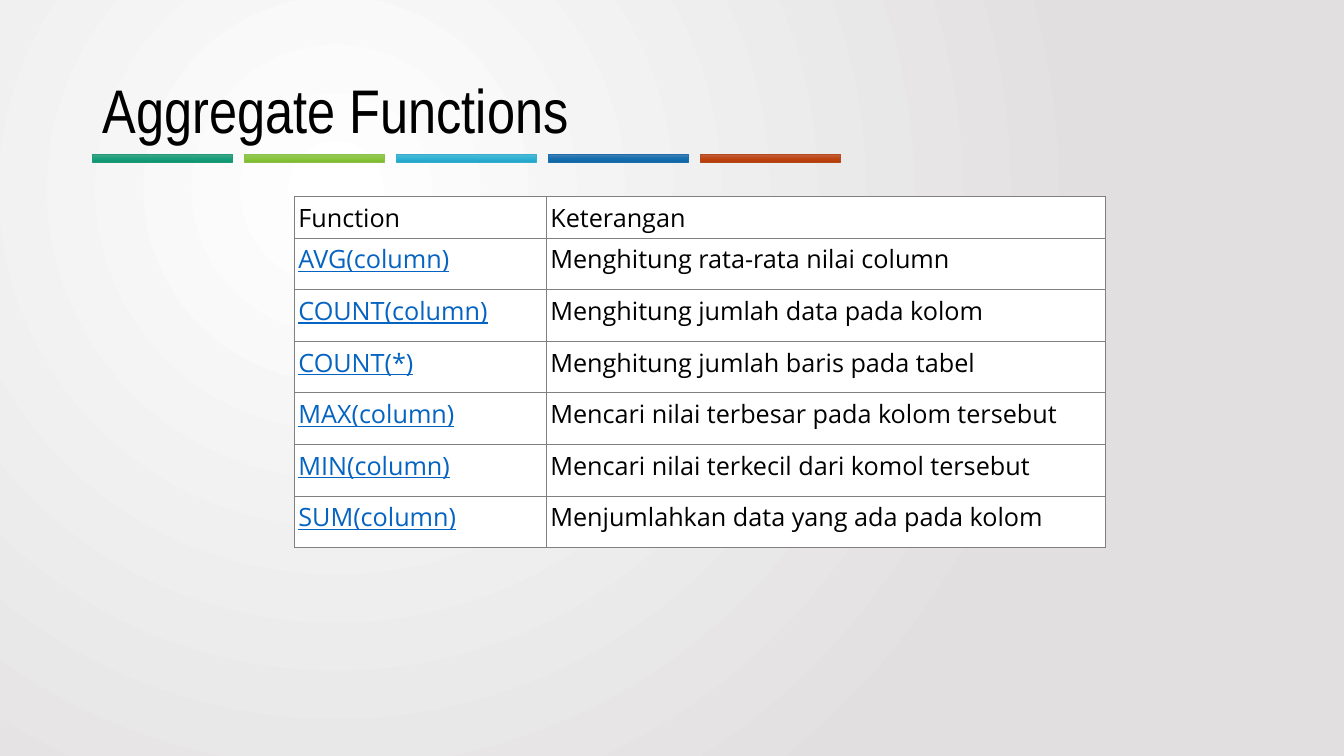
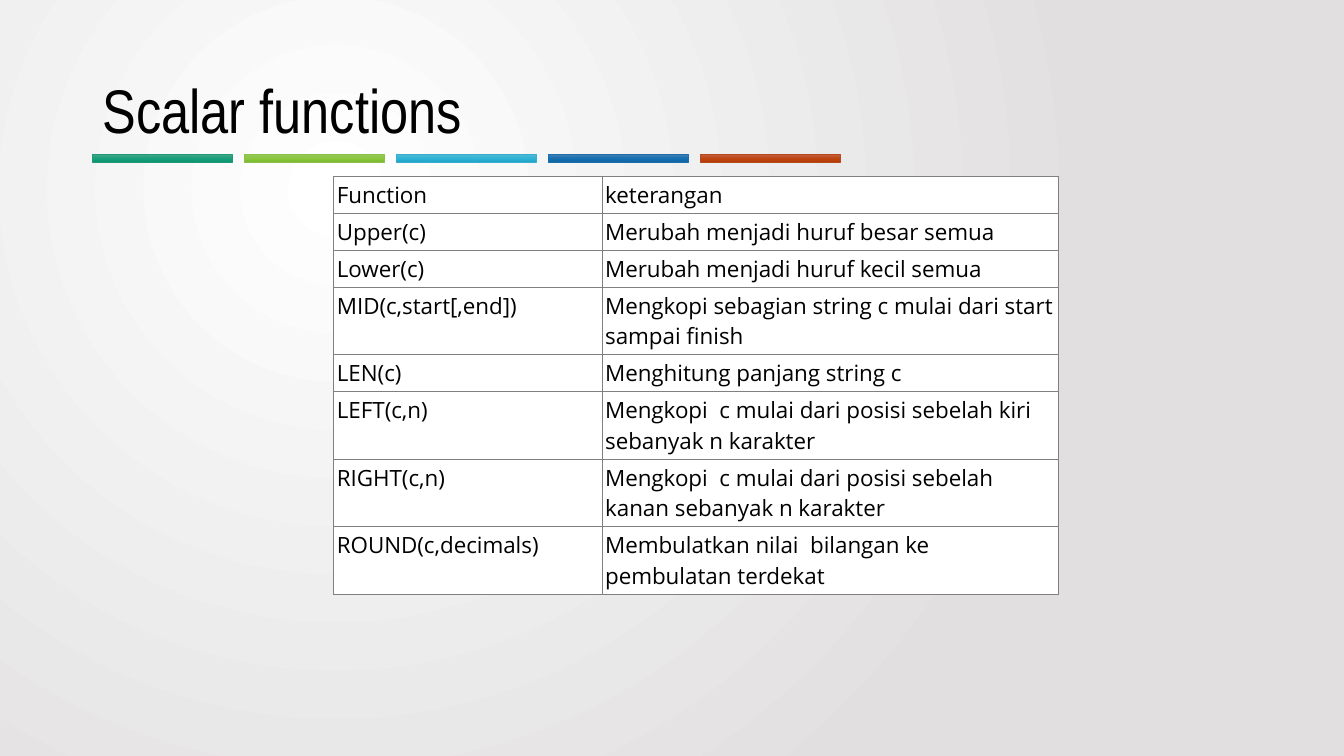
import dataclasses
import typing

import pptx
import pptx.dml.color
import pptx.enum.shapes
import pptx.enum.text
import pptx.oxml
import pptx.oxml.ns
import pptx.presentation
import pptx.slide
import pptx.table
import pptx.text.text
import pptx.util

Cm = pptx.util.Cm
Pt = pptx.util.Pt

# Shared style
TITLE_FONT = "Arial Narrow"
TABLE_FONT = "Open Sans"
BLACK = "000000"
WHITE = "FFFFFF"
LINK_BLUE = "0563C1"
BORDER_GREY = "808080"
BACKGROUND_STOPS = (WHITE, "E1DFDF")
RADIAL = (
    '<a:path {ns} path="circle">'
    '<a:fillToRect l="50000" t="50000" r="100000" b="100000"/></a:path>'
)
DOWNWARD = '<a:lin {ns} ang="5400000" scaled="0"/>'
LEFT_MARGIN = 2.34
BAR_PITCH = 3.83


@dataclasses.dataclass(frozen=True)
class Bar:
    stops: tuple[str, str, str]
    outline: str


@dataclasses.dataclass(frozen=True)
class FunctionTable:
    title: str
    left: float
    top: float
    column_widths: tuple[float, float]
    row_heights: tuple[float, ...]
    inset: float
    text_size: int
    function_color: str
    rows: tuple[tuple[str, str], ...]


BARS = (
    Bar(("4EA788", "17A07B", "0F9470"), "1D9A78"),
    Bar(("98C862", "8CC73F", "7DB831"), "8BC145"),
    Bar(("59B8D4", "2EB3D6", "21A4C6"), "36AFCE"),
    Bar(("4E80B5", "1670B0", "0D65A3"), "1D6FA9"),
    Bar(("C2634D", "BF4611", "B13B08"), "B74919"),
)

# Slide content
AGGREGATE = FunctionTable(
    title="Aggregate Functions",
    left=7.42,
    top=4.95,
    column_widths=(6.35, 14.1),
    row_heights=(1.05,) + (1.3,) * 6,
    inset=0.1,
    text_size=18,
    function_color=LINK_BLUE,
    rows=(
        ("Function", "Keterangan"),
        ("AVG(column)", "Menghitung rata-rata nilai column"),
        ("COUNT(column)", "Menghitung jumlah data pada kolom"),
        ("COUNT(*)", "Menghitung jumlah baris pada tabel"),
        ("MAX(column)", "Mencari nilai terbesar pada kolom tersebut"),
        ("MIN(column)", "Mencari nilai terkecil dari komol tersebut"),
        ("SUM(column)", "Menjumlahkan data yang ada pada kolom"),
    ),
)
SCALAR = FunctionTable(
    title="Scalar functions",
    left=8.41,
    top=4.45,
    column_widths=(6.76, 11.51),
    row_heights=(0.93, 0.93, 0.93, 1.7, 0.93, 1.7, 1.7, 1.7),
    inset=0.08,
    text_size=16,
    function_color=BLACK,
    rows=(
        ("Function", "keterangan"),
        ("Upper(c)", "Merubah menjadi huruf besar semua"),
        ("Lower(c)", "Merubah menjadi huruf kecil semua"),
        ("MID(c,start[,end])",
         "Mengkopi sebagian string c mulai dari start sampai finish"),
        ("LEN(c)", "Menghitung panjang string c"),
        ("LEFT(c,n)",
         "Mengkopi  c mulai dari posisi sebelah kiri sebanyak n karakter"),
        ("RIGHT(c,n)",
         "Mengkopi  c mulai dari posisi sebelah kanan sebanyak n karakter"),
        ("ROUND(c,decimals)",
         "Membulatkan nilai  bilangan ke pembulatan terdekat"),
    ),
)


# Helpers
def color(value: str) -> pptx.dml.color.RGBColor:
    return pptx.dml.color.RGBColor.from_string(value)


def element(xml: str) -> typing.Any:
    return pptx.oxml.parse_xml(xml.format(ns=pptx.oxml.ns.nsdecls("a")))


def set_gradient(
    gradient: typing.Any, stops: typing.Sequence[str], direction: str
) -> None:
    """Replace a gradient fill with evenly spaced stops."""
    for child in list(gradient):
        gradient.remove(child)
    marks = "".join(
        f'<a:gs pos="{index * 100000 // (len(stops) - 1)}">'
        f'<a:srgbClr val="{stop}"/></a:gs>'
        for index, stop in enumerate(stops)
    )
    gradient.append(element("<a:gsLst {ns}>" + marks + "</a:gsLst>"))
    gradient.append(element(direction))


def add_run(
    paragraph: pptx.text.text._Paragraph,
    text: str,
    font_name: str,
    size: int,
    text_color: str = BLACK,
) -> None:
    run = paragraph.add_run()
    run.text = text
    run.font.name = font_name
    run.font.size = Pt(size)
    run.font.color.rgb = color(text_color)
    run.font.underline = text_color == LINK_BLUE


# Parts that every slide has
def add_background(slide: pptx.slide.Slide) -> None:
    slide.background.fill.gradient()
    gradient = slide.element.xpath(".//p:bgPr/a:gradFill")[0]
    set_gradient(gradient, BACKGROUND_STOPS, RADIAL)


def add_bars(slide: pptx.slide.Slide) -> None:
    for index, bar in enumerate(BARS):
        shape = slide.shapes.add_shape(
            pptx.enum.shapes.MSO_SHAPE.RECTANGLE,
            Cm(LEFT_MARGIN + index * BAR_PITCH), Cm(3.89), Cm(3.51), Cm(0.2),
        )
        shape.shadow.inherit = False
        shape.fill.gradient()
        gradient = shape.element.xpath("./p:spPr/a:gradFill")[0]
        set_gradient(gradient, bar.stops, DOWNWARD)
        shape.line.color.rgb = color(bar.outline)
        shape.line.width = Pt(0.5)


def add_title(slide: pptx.slide.Slide, title: str) -> None:
    box = slide.shapes.add_textbox(
        Cm(LEFT_MARGIN), Cm(1.02), Cm(29.21), Cm(3.68)
    )
    frame = box.text_frame
    frame.word_wrap = True
    frame.vertical_anchor = pptx.enum.text.MSO_ANCHOR.MIDDLE
    paragraph = frame.paragraphs[0]
    paragraph.line_spacing = 0.9
    add_run(paragraph, title, TITLE_FONT, 44)


# Tables
def style_cell(cell: pptx.table._Cell, inset: float) -> None:
    cell.margin_left = cell.margin_right = Cm(inset)
    cell.margin_top = cell.margin_bottom = Cm(inset)
    properties = cell._tc.get_or_add_tcPr()
    for side in "LRTB":
        properties.append(element(
            f'<a:ln{side} {{ns}} w="{Pt(0.75)}"><a:solidFill>'
            f'<a:srgbClr val="{BORDER_GREY}"/></a:solidFill></a:ln{side}>'
        ))
    cell.fill.solid()
    cell.fill.fore_color.rgb = color(WHITE)


def add_function_table(slide: pptx.slide.Slide, content: FunctionTable) -> None:
    table = slide.shapes.add_table(
        len(content.rows), len(content.column_widths),
        Cm(content.left), Cm(content.top),
        Cm(sum(content.column_widths)), Cm(sum(content.row_heights)),
    ).table
    table.first_row = False
    table.horz_banding = False
    for column, width in zip(table.columns, content.column_widths):
        column.width = Cm(width)
    for row, height in zip(table.rows, content.row_heights):
        row.height = Cm(height)
    for row_index, texts in enumerate(content.rows):
        for column_index, text in enumerate(texts):
            cell = table.cell(row_index, column_index)
            style_cell(cell, content.inset)
            is_function = row_index > 0 and column_index == 0
            add_run(
                cell.text_frame.paragraphs[0], text, TABLE_FONT,
                content.text_size,
                content.function_color if is_function else BLACK,
            )


def add_slide(
    presentation: pptx.presentation.Presentation, content: FunctionTable
) -> None:
    slide = presentation.slides.add_slide(presentation.slide_layouts[6])
    add_background(slide)
    add_bars(slide)
    add_title(slide, content.title)
    add_function_table(slide, content)


def main() -> None:
    presentation = pptx.Presentation()
    presentation.slide_width = Cm(33.87)
    presentation.slide_height = Cm(19.05)
    for content in (AGGREGATE, SCALAR):
        add_slide(presentation, content)
    presentation.save("out.pptx")


if __name__ == "__main__":
    main()
